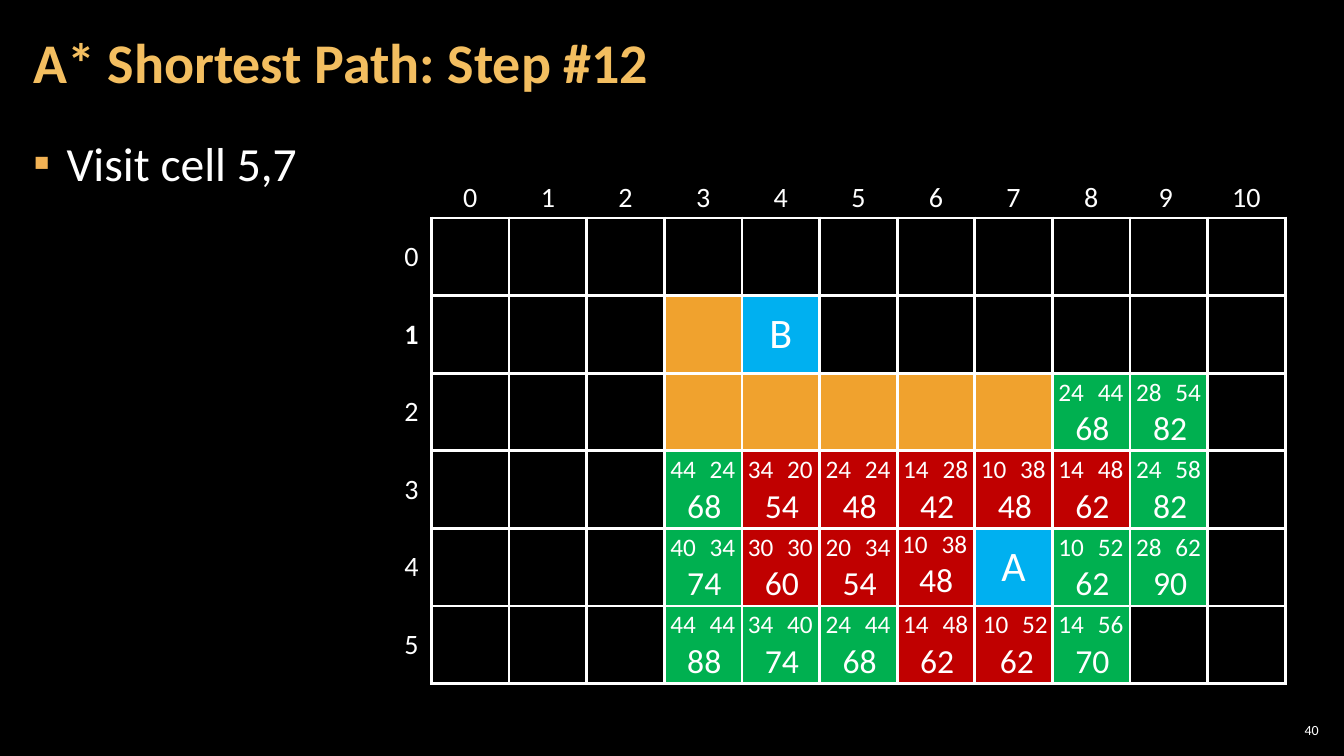
from pptx import Presentation
from pptx.dml.color import RGBColor
from pptx.enum.text import MSO_ANCHOR as Anchor, PP_ALIGN as Align
from pptx.oxml import parse_xml
from pptx.oxml.ns import nsdecls
from pptx.util import Inches, Pt

# Content
TITLE = "A* Shortest Path: Step #12"
BULLET = "Visit cell 5,7"
PAGE = "40"
HEADS = ["0", "1", "2", "3", "4", "5", "6", "7", "8", "9 ", "10"]
# One letter per cell: W wall, E end point, O open, V visited
MAP = [
    "...........",
    "...WE......",
    "...WWWWWOO.",
    "...OVVVVVO.",
    "...OVVVEOO.",
    "...OOOVVO..",
]
FILLS = {"W": "F0A22E", "E": "00B0F0", "O": "00B050", "V": "C00000"}
ENDS = {(1, 4): "B", (4, 7): "A"}
# (row, column): cost from A, estimate to B; their sum is the score
COSTS = {
    (2, 8): (24, 44), (2, 9): (28, 54),
    (3, 3): (44, 24), (3, 4): (34, 20), (3, 5): (24, 24), (3, 6): (14, 28),
    (3, 7): (10, 38), (3, 8): (14, 48), (3, 9): (24, 58),
    (4, 3): (40, 34), (4, 4): (30, 30), (4, 5): (20, 34), (4, 6): (10, 38),
    (4, 8): (10, 52), (4, 9): (28, 62),
    (5, 3): (44, 44), (5, 4): (34, 40), (5, 5): (24, 44), (5, 6): (14, 48),
    (5, 7): (10, 52), (5, 8): (14, 56),
}
NUDGE = {(4, 6): (-0.01, -0.03), (5, 7): (0.02, 0)}

# Layout
LEFT, TOP = 3.88, 1.75
HEAD, SIDE = 0.4, 0.77
WHITE = "FFFFFF"


def color(code):
    return RGBColor.from_string(code)


def write(frame, text, size=20, ink=WHITE, bold=False, align=Align.LEFT):
    para = frame.paragraphs[0]
    para.alignment = align
    run = para.add_run()
    run.text = text
    font = run.font
    font.name, font.size, font.bold = "Calibri", Pt(size), bold
    font.color.rgb = color(ink)
    return para


def add_box(shapes, at, pad=(0.1, 0.05), anchor=Anchor.TOP):
    frame = shapes.add_textbox(*map(Inches, at)).text_frame
    frame.word_wrap = True
    frame.vertical_anchor = anchor
    frame.margin_left = frame.margin_right = Inches(pad[0])
    frame.margin_top = frame.margin_bottom = Inches(pad[1])
    return frame


def add_edges(cell, sides):
    props = cell._tc.get_or_add_tcPr()
    for side in "LRTB":
        paint = "<a:noFill/>"
        if side in sides:
            paint = f'<a:solidFill><a:srgbClr val="{WHITE}"/></a:solidFill>'
        props.append(parse_xml(
            f'<a:ln{side} {nsdecls("a")} w="{Pt(2.25)}">{paint}</a:ln{side}>'))


def add_bullet(para):
    props = para._p.get_or_add_pPr()
    props.set("marL", str(Inches(0.33)))
    props.set("indent", str(Inches(-0.33)))
    for tag in ('buClr {}><a:srgbClr val="F2B254"/></a:buClr>',
                'buFont {} typeface="Calibri"/>',
                'buChar {} char="▪"/>'):
        props.append(parse_xml("<a:" + tag.format(nsdecls("a"))))


def add_grid(shapes):
    rows, cols = len(MAP) + 1, len(HEADS) + 1
    size = HEAD + SIDE * (cols - 1), HEAD + SIDE * (rows - 1)
    table = shapes.add_table(
        rows, cols, *map(Inches, (LEFT, TOP, *size))).table
    table.first_row = table.horz_banding = False
    for i, col in enumerate(table.columns):
        col.width = Inches(SIDE if i else HEAD)
    for i, row in enumerate(table.rows):
        row.height = Inches(SIDE if i else HEAD)

    for r in range(rows):
        for c in range(cols):
            cell = table.cell(r, c)
            cell.vertical_anchor = Anchor.MIDDLE
            cell.margin_left = cell.margin_right = Inches(0.08)
            cell.margin_top = cell.margin_bottom = Inches(0.04)
            code, text, size = ".", "", 20
            if r and c:
                sides, code, size = "LRTB", MAP[r - 1][c - 1], 30
                text = ENDS.get((r - 1, c - 1), "")
            elif r:
                sides, text = "R", str(r - 1)
            elif c:
                sides, text = "B", HEADS[c - 1]
            else:
                sides = ""
            add_edges(cell, sides)
            if code in FILLS:
                cell.fill.solid()
                cell.fill.fore_color.rgb = color(FILLS[code])
            else:
                cell.fill.background()
            if text:
                write(cell.text_frame, text, size=size,
                      bold=(r, c) == (2, 0), align=Align.CENTER)


def add_costs(shapes):
    for (r, c), (cost, guess) in COSTS.items():
        dx, dy = NUDGE.get((r, c), (0, 0))
        x = LEFT + HEAD + SIDE * c + 0.02 + dx
        y = TOP + HEAD + SIDE * r + dy
        group = shapes.add_group_shape().shapes
        write(add_box(group, (x, y + 0.3, 0.75, 0.5)), str(cost + guess),
              size=24, align=Align.CENTER)
        for left, value in ((x - 0.06, cost), (x + 0.33, guess)):
            write(add_box(group, (left, y - 0.01, 0.5, 0.4)), str(value),
                  size=18)


def main():
    deck = Presentation()
    deck.slide_width, deck.slide_height = Inches(13.33), Inches(7.5)
    slide = deck.slides.add_slide(deck.slide_layouts[6])
    slide.background.fill.solid()
    slide.background.fill.fore_color.rgb = color("000000")
    shapes = slide.shapes

    # Page number, bullet and title
    write(add_box(shapes, (12.65, 7.14, 0.47, 0.21), (0.04, 0.04),
                  Anchor.MIDDLE), PAGE, size=10, align=Align.RIGHT)
    para = write(add_box(shapes, (0.21, 1.26, 12.91, 6.09), (0.12, 0.04)),
                 BULLET, size=34)
    para.line_spacing = 1.05
    para.space_after = Pt(6)
    add_bullet(para)
    para = write(add_box(shapes, (0.21, 0.04, 10.47, 1.21), (0.12, 0.04),
                         Anchor.MIDDLE), TITLE, size=40, ink="F3BE60",
                 bold=True)
    para.line_spacing = 0.9

    # Map and its costs
    add_grid(shapes)
    add_costs(shapes)
    deck.save("out.pptx")


if __name__ == "__main__":
    main()
